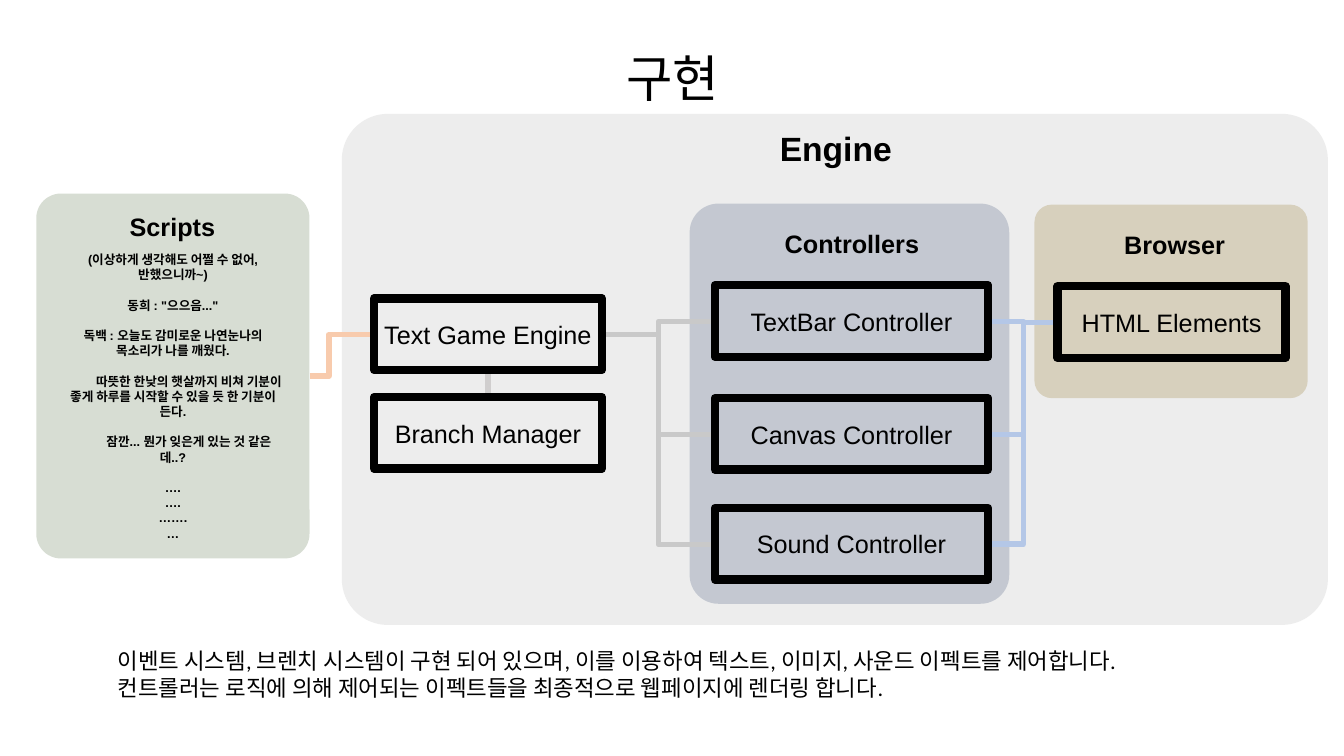
from typing import NamedTuple

from lxml import etree
from pptx import Presentation
from pptx.dml.color import RGBColor
from pptx.enum.shapes import MSO_CONNECTOR, MSO_SHAPE
from pptx.enum.text import MSO_ANCHOR, MSO_AUTO_SIZE, PP_ALIGN
from pptx.oxml.ns import qn
from pptx.util import Pt

PX = 9144
ELBOW, STRAIGHT = MSO_CONNECTOR.ELBOW, MSO_CONNECTOR.STRAIGHT
ROUNDED, RECTANGLE = MSO_SHAPE.ROUNDED_RECTANGLE, MSO_SHAPE.RECTANGLE
TOP, MIDDLE = MSO_ANCHOR.TOP, MSO_ANCHOR.MIDDLE
LEFT, CENTER = PP_ALIGN.LEFT, PP_ALIGN.CENTER
GROW = MSO_AUTO_SIZE.SHAPE_TO_FIT_TEXT

COLORS = {
    "ink": "000000",
    "engine": "808080",
    "browser": "806000",
    "controllers": "203864",
    "scripts": "385723",
    "control_link": "C9C9C9",
    "branch_link": "D0CECE",
    "render_link": "B4C7E7",
    "script_link": "F8CBAD",
}


class Area(NamedTuple):
    left: int
    top: int
    width: int
    height: int


class Panel(NamedTuple):
    area: Area
    color: str
    opacity: int


class Heading(NamedTuple):
    area: Area
    text: str
    size: int


class Module(NamedTuple):
    area: Area
    text: str


class Link(NamedTuple):
    start: tuple[int, int]
    end: tuple[int, int]
    color: str
    kind: int = ELBOW
    bend: int = 50


class Line(NamedTuple):
    text: str
    gap: float = 0
    indent: float = 0


def rgb(name: str) -> RGBColor:
    return RGBColor.from_string(COLORS[name])


def emu(area: Area) -> list[int]:
    return [length * PX for length in area]


def write(shape, lines: list[Line], size: int, font: str, bold: bool = False,
          align=CENTER, anchor=TOP) -> None:
    frame = shape.text_frame
    frame.word_wrap = True
    frame.vertical_anchor = anchor
    for index, line in enumerate(lines):
        para = frame.add_paragraph() if index else frame.paragraphs[0]
        para.alignment = align
        para.space_before = Pt(line.gap)
        if line.indent:
            para._p.get_or_add_pPr().set("indent", str(Pt(line.indent)))
        span = para.add_run()
        span.text = line.text
        span.font.name = font
        span.font.size = Pt(size)
        span.font.bold = bold
        span.font.color.rgb = rgb("ink")


def add_panel(page, panel: Panel) -> None:
    box = page.shapes.add_shape(ROUNDED, *emu(panel.area))
    box.adjustments[0] = 0.09
    box.shadow.inherit = False
    box.line.fill.background()
    box.fill.solid()
    box.fill.fore_color.rgb = rgb(panel.color)
    tint = box._element.spPr.find(qn("a:solidFill")).find(qn("a:srgbClr"))
    etree.SubElement(tint, qn("a:alpha")).set("val", str(panel.opacity * 1000))


def add_text(page, area: Area, lines: list[Line], size: int, font: str,
             bold: bool = False, align=CENTER) -> None:
    box = page.shapes.add_textbox(*emu(area))
    write(box, lines, size, font, bold, align)
    box.text_frame.auto_size = GROW


def add_module(page, module: Module) -> None:
    box = page.shapes.add_shape(RECTANGLE, *emu(module.area))
    box.shadow.inherit = False
    box.fill.background()
    box.line.color.rgb = rgb("ink")
    box.line.width = Pt(6)
    write(box, [Line(module.text)], 18, "Arial", anchor=MIDDLE)


def add_link(page, link: Link) -> None:
    ends = [length * PX for length in link.start + link.end]
    connector = page.shapes.add_connector(link.kind, *ends)
    connector.line.color.rgb = rgb(link.color)
    connector.line.width = Pt(4)
    properties = connector._element.spPr
    etree.SubElement(properties, qn("a:effectLst"))
    if link.bend != 50:
        guides = properties.find(qn("a:prstGeom")).find(qn("a:avLst"))
        guide = etree.SubElement(guides, qn("a:gd"))
        guide.set("name", "adj1")
        guide.set("fmla", f"val {link.bend * 1000}")


CONTROLLERS = [("TextBar Controller", 283), ("Canvas Controller", 395),
               ("Sound Controller", 504)]
MODULE_HEIGHT = 71
PORTS = [top + MODULE_HEIGHT // 2 + 1 for _, top in CONTROLLERS]

PANELS = [
    Panel(Area(339, 113, 978, 507), "engine", 14),
    Panel(Area(1026, 203, 271, 192), "browser", 20),
    Panel(Area(684, 202, 317, 397), "controllers", 20),
    Panel(Area(36, 192, 271, 362), "scripts", 20),
]
HEADINGS = [
    Heading(Area(576, 122, 506, 50), "Engine", 24),
    Heading(Area(763, 222, 164, 40), "Controllers", 18),
    Heading(Area(1101, 223, 128, 40), "Browser", 18),
    Heading(Area(107, 205, 128, 40), "Scripts", 18),
]
MODULES = [
    Module(Area(371, 296, 226, MODULE_HEIGHT), "Text Game Engine"),
    Module(Area(371, 394, 226, MODULE_HEIGHT), "Branch Manager"),
    Module(Area(1049, 284, 226, MODULE_HEIGHT), "HTML Elements"),
] + [Module(Area(709, top, 271, MODULE_HEIGHT), text) for text, top in CONTROLLERS]
LINKS = [
    Link((307, 373), (371, 332), "script_link", bend=30),
    Link((484, 394), (484, 367), "branch_link", STRAIGHT),
] + [Link((597, 332), (709, port), "control_link") for port in PORTS] + [
    Link((981, port), (1049, 320), "render_link") for port in PORTS
]
SCRIPT_GAP, SCRIPT_INDENT = 10.9, 22.5
SCRIPT = [
    Line("(이상하게 생각해도 어쩔 수 없어, 반했으니까~)"),
    Line('동희 : "으으음..."', SCRIPT_GAP),
    Line("독백 : 오늘도 감미로운 나연눈나의 목소리가 나를 깨웠다.", SCRIPT_GAP),
    Line("따뜻한 한낮의 햇살까지 비쳐 기분이 좋게 하루를 시작할 수 있을 듯 한 기분이 든다.",
         SCRIPT_GAP, SCRIPT_INDENT),
    Line("잠깐... 뭔가 잊은게 있는 것 같은데..?", SCRIPT_GAP, SCRIPT_INDENT),
    Line("….", SCRIPT_GAP),
    Line("…."),
    Line("……."),
    Line("…"),
]
SUMMARY = [
    Line("이벤트 시스템, 브렌치 시스템이 구현 되어 있으며, 이를 이용하여 텍스트, 이미지, "
         "사운드 이펙트를 제어합니다."),
    Line("컨트롤러는 로직에 의해 제어되는 이펙트들을 최종적으로 웹페이지에 렌더링 합니다."),
]


def main() -> None:
    deck = Presentation()
    deck.slide_width, deck.slide_height = 1333 * PX, 750 * PX
    page = deck.slides.add_slide(deck.slide_layouts.get_by_name("Title Only"))
    title = page.shapes.title
    title.left, title.top, title.width, title.height = emu(Area(417, 42, 500, 71))
    write(title, [Line("구현")], 36, "Calibri")
    title.text_frame.auto_size = GROW
    for panel in PANELS:
        add_panel(page, panel)
    for link in LINKS:
        add_link(page, link)
    for module in MODULES:
        add_module(page, module)
    for heading in HEADINGS:
        add_text(page, heading.area, [Line(heading.text)], heading.size, "Arial", True)
    add_text(page, Area(52, 245, 239, 298), SCRIPT, 9, "Arial", True)
    add_text(page, Area(107, 637, 1122, 64), SUMMARY, 16, "Calibri", align=LEFT)
    deck.save("out.pptx")


if __name__ == "__main__":
    main()
